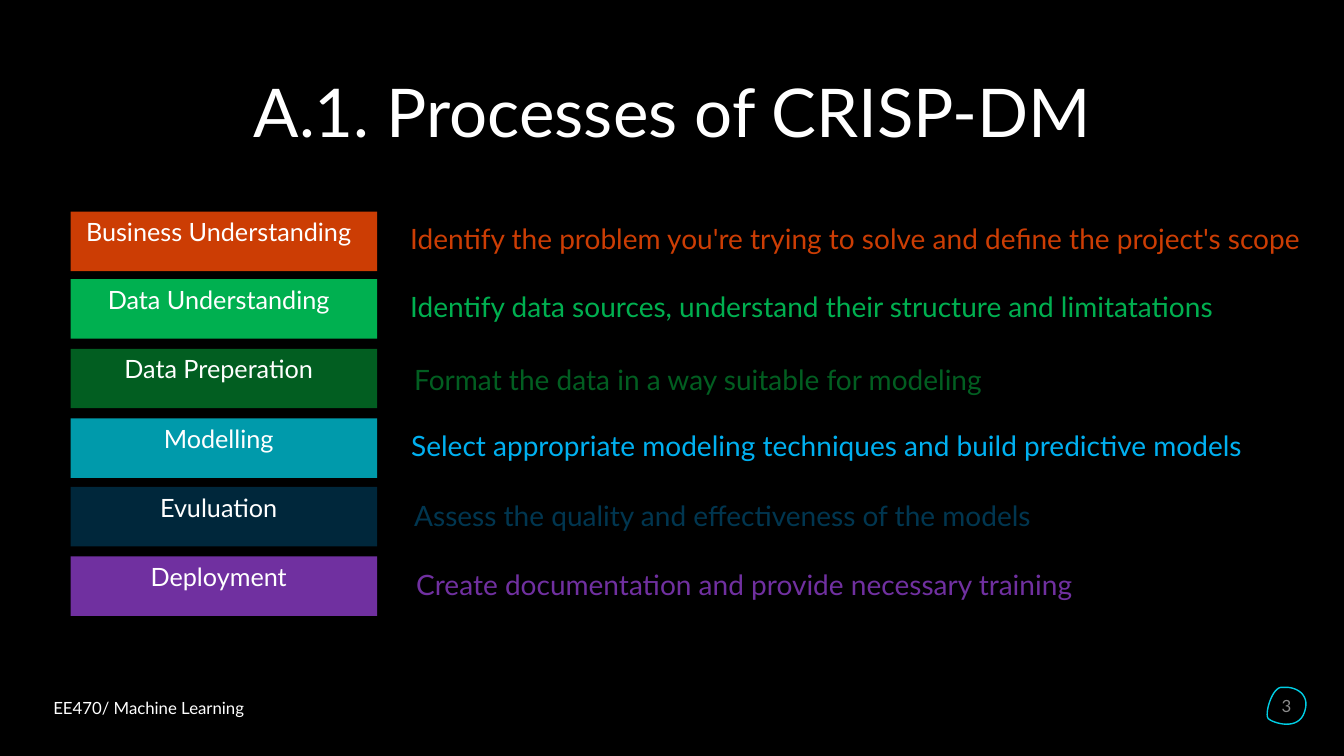
from pptx import Presentation
from pptx.dml.color import RGBColor
from pptx.enum.shapes import MSO_SHAPE
from pptx.enum.text import MSO_ANCHOR, PP_ALIGN
from pptx.util import Inches, Pt

THEME = {
    "font": "Lato",
    "sizes": {"title": 48, "description": 20, "label": 18, "small": 12},
    "colors": {
        "background": "000000",
        "white": "FFFFFF",
        "grey": "8C8C8C",
        "orange": "CC3D04",
        "green": "00B050",
        "forest": "025E21",
        "teal": "009AAB",
        "sky": "00B0F0",
        "navy": "00273B",
        "navy_text": "003650",
        "purple": "7030A0",
        "cyan": "00CEE4",
    },
}


def color_of(name):
    return RGBColor.from_string(THEME["colors"][name])


def write_text(shape, text, size, color, align=PP_ALIGN.LEFT, **frame_format):
    frame = shape.text_frame
    frame.word_wrap = True
    for name, value in frame_format.items():
        setattr(frame, name, value)
    paragraph = frame.paragraphs[0]
    paragraph.alignment = align
    run = paragraph.add_run()
    run.text = text
    font_format = {"name": THEME["font"], "size": Pt(THEME["sizes"][size]), "bold": False}
    for name, value in font_format.items():
        setattr(run.font, name, value)
    run.font.color.rgb = color_of(color)


presentation = Presentation()
presentation.slide_width = Inches(13.33)
presentation.slide_height = Inches(7.5)
slide = presentation.slides.add_slide(presentation.slide_layouts[5])
slide.background.fill.solid()
slide.background.fill.fore_color.rgb = color_of("background")

title = slide.shapes.title
title_place = {"left": 0.42, "top": 0.42, "width": 12.5, "height": 1.45}
for name, value in title_place.items():
    setattr(title, name, Inches(value))
write_text(title, "A.1. Processes of CRISP-DM", "title", "white",
           PP_ALIGN.CENTER, vertical_anchor=MSO_ANCHOR.MIDDLE)
title.text_frame.paragraphs[0].line_spacing = 0.9

processes = [
    ("Business Understanding", "orange", 2.1,
     "Identify the problem you're trying to solve and define the project's scope", "orange", 3.97, 2.15),
    ("Data Understanding", "green", 2.77,
     "Identify data sources, understand their structure and limitatations", "green", 3.97, 2.82),
    ("Data Preperation", "forest", 3.46,
     "Format the data in a way suitable for modeling", "forest", 4.01, 3.55),
    ("Modelling", "teal", 4.15,
     "Select appropriate modeling techniques and build predictive models", "sky", 3.98, 4.2),
    ("Evuluation", "navy", 4.83,
     "Assess the quality and effectiveness of the models", "navy_text", 4.01, 4.9),
    ("Deployment", "purple", 5.52,
     "Create documentation and provide necessary training", "purple", 4.03, 5.58),
]
for label, fill, label_top, description, color, left, top in processes:
    box = slide.shapes.add_shape(MSO_SHAPE.RECTANGLE, Inches(0.7), Inches(label_top),
                                 Inches(3.04), Inches(0.59))
    box.shadow.inherit = False
    box.fill.solid()
    box.fill.fore_color.rgb = color_of(fill)
    box.line.fill.background()
    write_text(box, label, "label", "white", PP_ALIGN.CENTER,
               vertical_anchor=MSO_ANCHOR.TOP, margin_right=Inches(0.2))

    note = slide.shapes.add_textbox(Inches(left), Inches(top), Inches(9.2), Inches(0.51))
    write_text(note, description, "description", color)

footer = slide.shapes.add_textbox(Inches(0.43), Inches(6.87), Inches(2.68), Inches(0.3))
write_text(footer, "EE470/ Machine Learning", "small", "white",
           vertical_anchor=MSO_ANCHOR.MIDDLE)

ring_start = (12.74, 6.82)
ring_curves = [
    ((12.84, 6.81), (13, 6.88), (12.94, 7.06)),
    ((12.88, 7.26), (12.62, 7.17), (12.58, 7.13)),
    ((12.54, 7.09), (12.61, 6.84), (12.7, 6.82)),
    ((12.71, 6.82), (12.72, 6.82), ring_start),
]
ring_points = []
current = ring_start
steps = 16
for first, second, end in ring_curves:
    for step in range(1, steps + 1):
        t = step / steps
        weights = ((1 - t) ** 3, 3 * t * (1 - t) ** 2, 3 * t ** 2 * (1 - t), t ** 3)
        corners = (current, first, second, end)
        ring_points.append(tuple(
            Inches(sum(weight * corner[axis] for weight, corner in zip(weights, corners)))
            for axis in (0, 1)))
    current = end
builder = slide.shapes.build_freeform(Inches(ring_start[0]), Inches(ring_start[1]))
builder.add_line_segments(ring_points, close=True)
number_ring = builder.convert_to_shape()
number_ring.shadow.inherit = False
number_ring.fill.background()
number_ring.line.color.rgb = color_of("cyan")
number_ring.line.width = Pt(1)
write_text(number_ring, "3", "small", "grey", PP_ALIGN.CENTER,
           vertical_anchor=MSO_ANCHOR.MIDDLE, margin_left=0, margin_right=0,
           margin_top=0, margin_bottom=0)

presentation.save("out.pptx")
